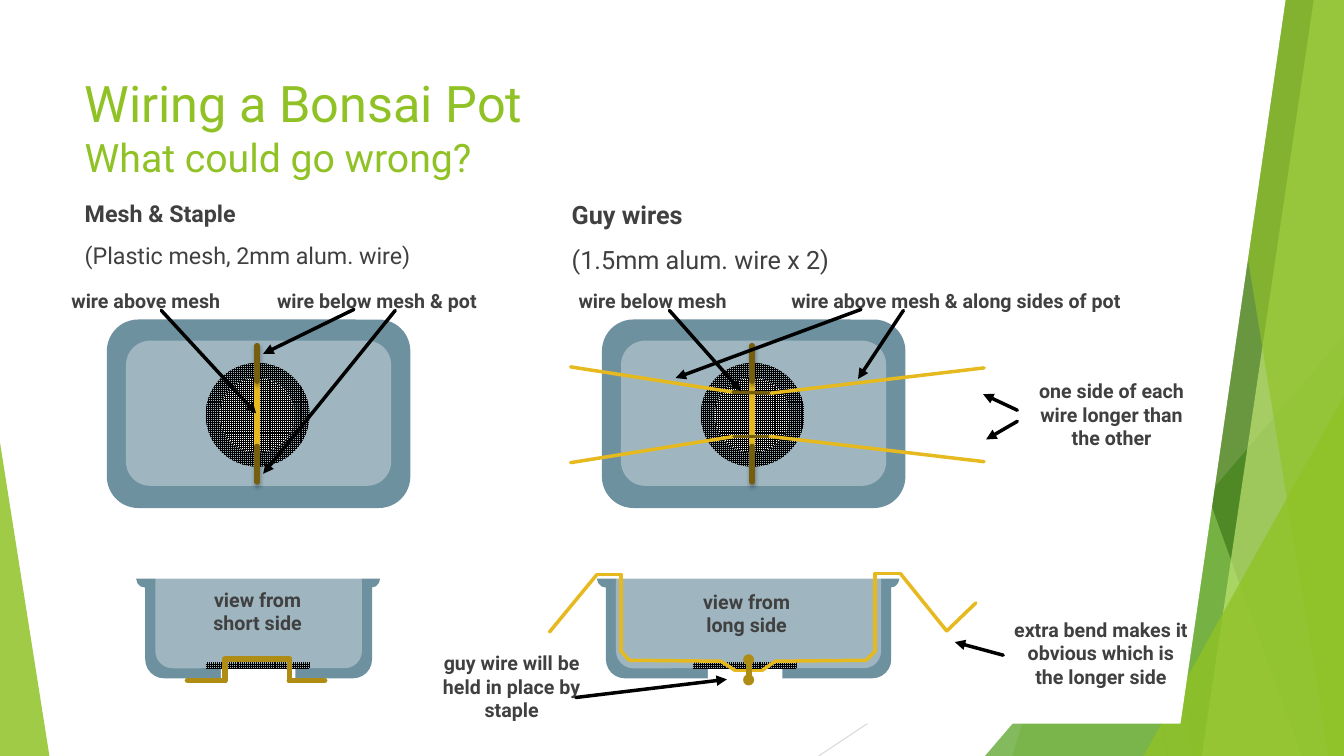
from dataclasses import dataclass
from itertools import pairwise
from typing import Sequence

from lxml.etree import SubElement
from pptx import Presentation
from pptx.dml.color import RGBColor
from pptx.enum.dml import MSO_PATTERN as Pattern
from pptx.enum.shapes import MSO_AUTO_SHAPE_TYPE as Preset, MSO_CONNECTOR as Link
from pptx.enum.text import MSO_ANCHOR as Anchor, MSO_AUTO_SIZE as AutoSize, PP_ALIGN as Align
from pptx.oxml.ns import qn
from pptx.shapes.base import BaseShape
from pptx.slide import Slide
from pptx.text.text import TextFrame, _Paragraph as Paragraph
from pptx.util import Inches, Pt

LIME = RGBColor(0x90, 0xC2, 0x26)
GREEN = RGBColor(0x54, 0xA0, 0x21)
FOREST = RGBColor(0x3F, 0x78, 0x19)
PALE_LIME = RGBColor(0xC0, 0xE4, 0x74)
WHITE = RGBColor(0xFF, 0xFF, 0xFF)
BLACK = RGBColor(0x00, 0x00, 0x00)
INK = RGBColor(0x40, 0x40, 0x40)
GREY = RGBColor(0xBF, 0xBF, 0xBF)
LIGHT_GREY = RGBColor(0xD9, 0xD9, 0xD9)
POT = RGBColor(0x6E, 0x91, 0xA0)
POT_INSIDE = RGBColor(0x9F, 0xB6, 0xC0)
WIRE = RGBColor(0xE6, 0xB9, 0x1E)
WIRE_HIDDEN = RGBColor(0x75, 0x5E, 0x0D)
STAPLE = RGBColor(0xAF, 0x8C, 0x14)

Point = tuple[float, float]
Box = tuple[float, float, float, float]


@dataclass(frozen=True)
class Facet:
    points: Sequence[Point]
    color: RGBColor
    opacity: int


@dataclass(frozen=True)
class Label:
    text: str
    box: Box
    align: Align = Align.LEFT


@dataclass(frozen=True)
class Heading:
    index: int
    title: str
    detail: str
    box: Box
    size: float


FACETS = [
    Facet([(12.28, 0), (13.33, 0), (13.33, 7.5), (10.04, 7.5)], LIME, 30),
    Facet([(10.5, 0), (13.33, 0), (13.33, 7.5), (11.83, 7.5)], LIME, 20),
    Facet([(13.33, 3.33), (13.33, 7.5), (9.77, 7.5)], GREEN, 72),
    Facet([(10.21, 0), (13.33, 0), (13.33, 7.5), (12.91, 7.5)], FOREST, 70),
    Facet([(13.03, 0), (13.33, 0), (13.33, 7.5), (11.92, 7.5)], PALE_LIME, 70),
    Facet([(11.96, 0), (13.33, 0), (13.33, 7.5), (13.18, 7.5)], LIME, 65),
    Facet([(13.33, 3.93), (13.33, 7.5), (11.34, 7.5)], LIME, 80),
    Facet([(0, 4.39), (0.49, 7.5), (0, 7.5)], LIME, 85),
]
HEADINGS = [
    Heading(1, "Mesh & Staple", "(Plastic mesh, 2mm alum. wire)", (0.74, 1.93, 4.14, 0.8), 16.6),
    Heading(3, "Guy wires", "(1.5mm alum. wire x 2)", (5.57, 1.93, 5.17, 0.79), 18),
]
LABELS = [
    Label("wire above mesh", (0.61, 2.82, 2.47, 0.46)),
    Label("wire below mesh & pot", (2.65, 2.82, 2.47, 0.46)),
    Label("wire below mesh", (5.64, 2.82, 2.47, 0.46)),
    Label("wire above mesh & along sides of pot", (7.75, 2.82, 3.94, 0.46)),
    Label("one side of each wire longer than the other", (10.17, 3.71, 1.71, 0.78), Align.CENTER),
    Label("extra bend makes it obvious which is the longer side", (9.95, 6.08, 1.94, 1.41), Align.CENTER),
    Label("guy wire will be held in place by staple", (4.27, 6.41, 1.61, 0.91), Align.CENTER),
    Label("view from short side", (1.98, 5.78, 1.15, 0.91), Align.CENTER),
    Label("view from long side", (6.83, 5.8, 1.15, 0.91), Align.CENTER),
]
ARROWS = [
    ((1.6, 3.08), (2.54, 4.1)), ((3.51, 3.07), (2.61, 3.51)), ((3.92, 3.08), (2.61, 4.7)),
    ((6.64, 3.08), (7.35, 3.88)), ((8.54, 3.07), (6.7, 3.75)), ((8.96, 3.08), (8.51, 3.76)),
    ((10.09, 4.07), (9.75, 3.91)), ((10.09, 4.18), (9.78, 4.36)),
    ((9.95, 6.5), (9.47, 6.37)), ((5.71, 6.92), (7.21, 6.74)),
]
GUY_WIRES_ABOVE = [
    [(5.66, 3.64), (7.27, 3.89), (7.65, 3.9), (9.76, 3.65)],
    [(5.66, 4.59), (7.28, 4.33), (7.64, 4.33), (9.76, 4.58)],
]
GUY_WIRE_SIDE = [
    (5.45, 6.27), (5.92, 5.7), (6.16, 5.7), (6.16, 6.46), (6.24, 6.55),
    (7.15, 6.56), (7.29, 6.65), (7.56, 6.65), (7.69, 6.56), (8.59, 6.55),
    (8.68, 6.46), (8.68, 5.69), (8.93, 5.69), (9.39, 6.26), (9.68, 5.98),
]
STAPLE_SIDE = [(1.86, 6.75), (2.23, 6.75), (2.23, 6.54), (2.87, 6.54), (2.87, 6.75), (3.22, 6.75)]


def write(para: Paragraph, text: str, *, size: float, color: RGBColor = INK, bold: bool = False,
          align: Align = Align.LEFT, before: float = 10) -> None:
    para.alignment = align
    para.space_before = Pt(before)
    span = para.add_run()
    span.text = text
    span.font.name = "Roboto"
    span.font.size = Pt(size)
    span.font.bold = bold
    span.font.color.rgb = color


def place(shape: BaseShape, box: Box) -> TextFrame:
    shape.left, shape.top, shape.width, shape.height = map(Inches, box)
    frame = shape.text_frame
    frame.word_wrap = True
    frame.auto_size = AutoSize.NONE
    frame.vertical_anchor = Anchor.TOP
    tree = shape.element.getparent()
    tree.append(shape.element)
    return frame


def draw_shape(page: Slide, preset: Preset, box: Box, color: RGBColor) -> BaseShape:
    shape = page.shapes.add_shape(preset, *map(Inches, box))
    shape.shadow.inherit = False
    shape.fill.solid()
    shape.fill.fore_color.rgb = color
    shape.line.fill.background()
    return shape


def draw_mesh(page: Slide, preset: Preset, box: Box, gap: RGBColor = POT_INSIDE) -> None:
    fill = draw_shape(page, preset, box, BLACK).fill
    fill.patterned()
    fill.pattern = Pattern.SMALL_GRID
    fill.fore_color.rgb = BLACK
    fill.back_color.rgb = gap


def draw_facet(page: Slide, facet: Facet) -> None:
    start, *rest = [(Inches(x), Inches(y)) for x, y in facet.points]
    builder = page.shapes.build_freeform(*start)
    builder.add_line_segments(rest, close=True)
    shape = builder.convert_to_shape()
    shape.shadow.inherit = False
    shape.fill.solid()
    shape.fill.fore_color.rgb = facet.color
    shape.line.fill.background()
    tint = shape.element.spPr.find(qn("a:solidFill"))[0]
    SubElement(tint, qn("a:alpha"), val=str(facet.opacity * 1000))


def draw_line(page: Slide, start: Point, end: Point, color: RGBColor, width: float = 2.5, *,
              arrow: bool = False, shadow: bool = False) -> None:
    link = page.shapes.add_connector(Link.STRAIGHT, *map(Inches, (*start, *end)))
    link.line.color.rgb = color
    link.line.width = Pt(width)
    properties = link.element.spPr
    outline = properties.find(qn("a:ln"))
    outline.set("cap", "rnd")
    if arrow:
        SubElement(outline, qn("a:tailEnd"), type="triangle")
    effects = SubElement(properties, qn("a:effectLst"))
    if shadow:
        outer = SubElement(effects, qn("a:outerShdw"), blurRad=str(Pt(3)), dist=str(Pt(2)),
                           dir="5400000", rotWithShape="0")
        SubElement(SubElement(outer, qn("a:srgbClr"), val="000000"), qn("a:alpha"), val="35000")


def draw_pot_above(page: Slide, left: float) -> None:
    draw_shape(page, Preset.ROUNDED_RECTANGLE, (left, 3.17, 3.01, 1.87), POT)
    draw_shape(page, Preset.ROUNDED_RECTANGLE, (left + 0.19, 3.38, 2.63, 1.44), POT_INSIDE)
    draw_mesh(page, Preset.OVAL, (left + 0.98, 3.6, 1.03, 1.03))
    draw_mesh(page, Preset.OVAL, (left + 1.12, 3.75, 0.74, 0.74), WHITE)
    middle = left + 1.49
    for top, bottom, color in [(3.75, 4.49, WIRE), (4.43, 4.78, WIRE_HIDDEN), (3.43, 3.78, WIRE_HIDDEN)]:
        draw_line(page, (middle, top), (middle, bottom), color, 4, shadow=True)


def draw_pot_side(page: Slide, left: float, width: float, hole: float) -> None:
    draw_shape(page, Preset.ROUNDED_RECTANGLE, (left, 5.6, width, 1.13), POT)
    draw_shape(page, Preset.ROUNDED_RECTANGLE, (left + 0.1, 5.6, width - 0.2, 1.03), POT_INSIDE)
    for lip in (left - 0.09, left + width - 0.1):
        draw_shape(page, Preset.OVAL, (lip, 5.65, 0.18, 0.18), POT)
    draw_shape(page, Preset.RECTANGLE, (left - 0.15, 5.56, width + 0.3, 0.18), WHITE)
    draw_shape(page, Preset.RECTANGLE, (hole, 6.63, 0.74, 0.13), WHITE)
    draw_mesh(page, Preset.RECTANGLE, (hole - 0.15, 6.57, 1.03, 0.06))


def main() -> None:
    deck = Presentation()
    deck.slide_width, deck.slide_height = Inches(13.33), Inches(7.5)
    page = deck.slides.add_slide(deck.slide_layouts.get_by_name("Comparison"))

    draw_line(page, (10.25, 0), (11.58, 7.5), GREY, 0.75)
    draw_line(page, (13.33, 4.03), (8.12, 7.5), LIGHT_GREY, 0.75)
    for facet in FACETS:
        draw_facet(page, facet)
    panel = draw_shape(page, Preset.PARALLELOGRAM, (7.26, -0.34, 5.54, 7.52), WHITE)
    panel.adjustments[0] = 0.197

    title = place(page.shapes.title, (0.74, 0.67, 11.05, 1.26)).paragraphs[0]
    write(title, "Wiring a Bonsai Pot", size=36, color=LIME, before=0)
    title.add_line_break()
    write(title, "What could go wrong?", size=28, color=LIME, before=0)
    holders = {holder.placeholder_format.idx: holder for holder in page.placeholders}
    for heading in HEADINGS:
        frame = place(holders[heading.index], heading.box)
        write(frame.paragraphs[0], heading.title, size=heading.size, bold=True)
        write(frame.add_paragraph(), heading.detail, size=heading.size)
    for index in (2, 4):
        unused = holders[index].element
        unused.getparent().remove(unused)

    for left in (1.06, 5.97):
        draw_pot_above(page, left)
    for left, width, hole in [(1.44, 2.25, 2.19), (6.01, 2.83, 7.02)]:
        draw_pot_side(page, left, width, hole)
    for route in GUY_WIRES_ABOVE:
        for (start, end), color in zip(pairwise(route), (WIRE, WIRE_HIDDEN, WIRE)):
            draw_line(page, start, end, color)
    for start, end in pairwise(GUY_WIRE_SIDE):
        draw_line(page, start, end, WIRE)
    for start, end in [*pairwise(STAPLE_SIDE), ((7.43, 6.74), (7.43, 6.54))]:
        draw_line(page, start, end, STAPLE, 4)
    for top in (6.49, 6.69):
        draw_shape(page, Preset.OVAL, (7.37, top, 0.11, 0.11), STAPLE)

    for start, end in ARROWS:
        draw_line(page, start, end, BLACK, arrow=True)
    for label in LABELS:
        frame = place(page.shapes.add_textbox(0, 0, 0, 0), label.box)
        write(frame.paragraphs[0], label.text, size=14, bold=True, align=label.align)
    deck.save("out.pptx")


if __name__ == "__main__":
    main()
